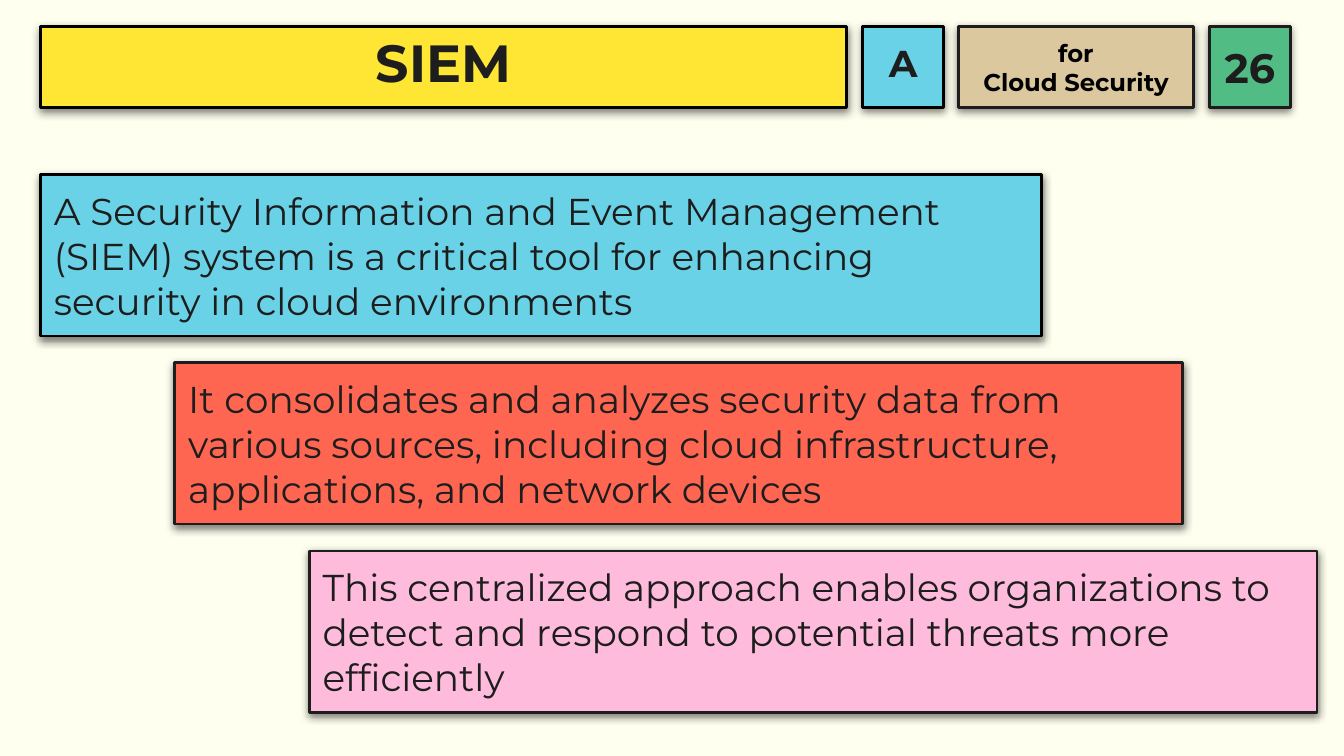
"""Build the SIEM slide: a header row of four boxes above three stepped statements."""
from lxml import etree
from pptx import Presentation
from pptx.dml.color import RGBColor
from pptx.enum.shapes import MSO_SHAPE
from pptx.enum.text import MSO_ANCHOR, MSO_AUTO_SIZE, PP_ALIGN
from pptx.oxml import parse_xml
from pptx.oxml.ns import qn
from pptx.util import Inches, Pt

RECT = MSO_SHAPE.RECTANGLE
MIDDLE = MSO_ANCHOR.MIDDLE
NO_FIT = MSO_AUTO_SIZE.NONE
LEFT, CENTER = PP_ALIGN.LEFT, PP_ALIGN.CENTER

IVORY = RGBColor(0xFF, 0xFF, 0xF0)
BLACK = RGBColor(0x00, 0x00, 0x00)
INK = RGBColor(0x1D, 0x1D, 0x1D)
YELLOW = RGBColor(0xFF, 0xE5, 0x34)
BLUE = RGBColor(0x6A, 0xD2, 0xE6)
TAN = RGBColor(0xDB, 0xC8, 0x9F)
GREEN = RGBColor(0x51, 0xBD, 0x85)
RED = RGBColor(0xFF, 0x66, 0x52)
PINK = RGBColor(0xFF, 0xBB, 0xDC)

FONT = "Montserrat"
CELL = Inches(0.1)
HEAD_TOP, HEAD_ROWS = 2, 6
BODY_LEFT, BODY_TOP, BODY_ROWS = 3, 13, 12
STEP_COLS, STEP_ROWS = 10, 14
SHADOW = (
    '<a:effectLst xmlns:a="http://schemas.openxmlformats.org/drawingml/2006/main">'
    '<a:outerShdw blurRad="57150" dist="19050" dir="5400000" algn="bl" rotWithShape="0">'
    '<a:srgbClr val="000000"><a:alpha val="50000"/></a:srgbClr>'
    "</a:outerShdw></a:effectLst>"
)


def place_box(sp, col, row, cols, rows, fill, line):
    sp.left, sp.top = int(col * CELL), int(row * CELL)
    sp.width, sp.height = int(cols * CELL), int(rows * CELL)
    sp.fill.solid()
    sp.fill.fore_color.rgb = fill
    sp.line.color.rgb = line
    sp.line.width = Pt(1.5)
    sp.element.spPr.append(parse_xml(SHADOW))


def write_text(sp, text, size, color, bold, align, spacing):
    tf = sp.text_frame
    tf.text = text
    tf.word_wrap = True
    tf.auto_size = NO_FIT
    tf.vertical_anchor = MIDDLE
    tf.margin_left = tf.margin_right = tf.margin_top = tf.margin_bottom = CELL
    for p in tf.paragraphs:
        pPr = p._p.get_or_add_pPr()
        pPr.set("marL", "0")
        pPr.set("indent", "0")
        etree.SubElement(pPr, qn("a:buNone"))
        p.alignment = align
        p.line_spacing = spacing
        p.space_before = Pt(0)
        for r in p.runs:
            r.font.name = FONT
            r.font.size = Pt(size)
            r.font.bold = bold
            r.font.color.rgb = color


prs = Presentation()
prs.slide_width = Inches(10)
prs.slide_height = prs.slide_width * 9 // 16
s = prs.slides.add_slide(prs.slide_layouts.get_by_name("Comparison"))
s.background.fill.solid()
s.background.fill.fore_color.rgb = IVORY
title, *bodies, spare = s.placeholders
spare.element.getparent().remove(spare.element)

headers = [
    ("SIEM", 3, 60, YELLOW, BLACK, 28, INK, 0.8),
    ("A", 64.2, 6, BLUE, BLACK, 20, INK, 0.8),
    ("for\nCloud Security", 71.3, 17.5, TAN, INK, 13, BLACK, 1.0),
    ("26", 90, 6, GREEN, INK, 22, INK, 1.0),
]
for i, (text, col, cols, fill, line, size, color, spacing) in enumerate(headers):
    sp = s.shapes.add_shape(RECT, 0, 0, CELL, CELL) if i else title
    place_box(sp, col, HEAD_TOP, cols, HEAD_ROWS, fill, line)
    write_text(sp, text, size, color, True, CENTER, spacing)

statements = [
    ("A Security Information and Event Management (SIEM) system is a critical tool "
     "for enhancing security in cloud environments", 74.5, BLUE, BLACK),
    ("It consolidates and analyzes security data from various sources, including "
     "cloud infrastructure, applications, and network devices", 75, RED, INK),
    ("This centralized approach enables organizations to detect and respond to "
     "potential threats more efficiently", 75, PINK, INK),
]
for i, (sp, (text, cols, fill, line)) in enumerate(zip(bodies, statements)):
    place_box(sp, BODY_LEFT + i * STEP_COLS, BODY_TOP + i * STEP_ROWS,
              cols, BODY_ROWS, fill, line)
    write_text(sp, text, 20, INK, False, LEFT, 1.0)

prs.save("out.pptx")
